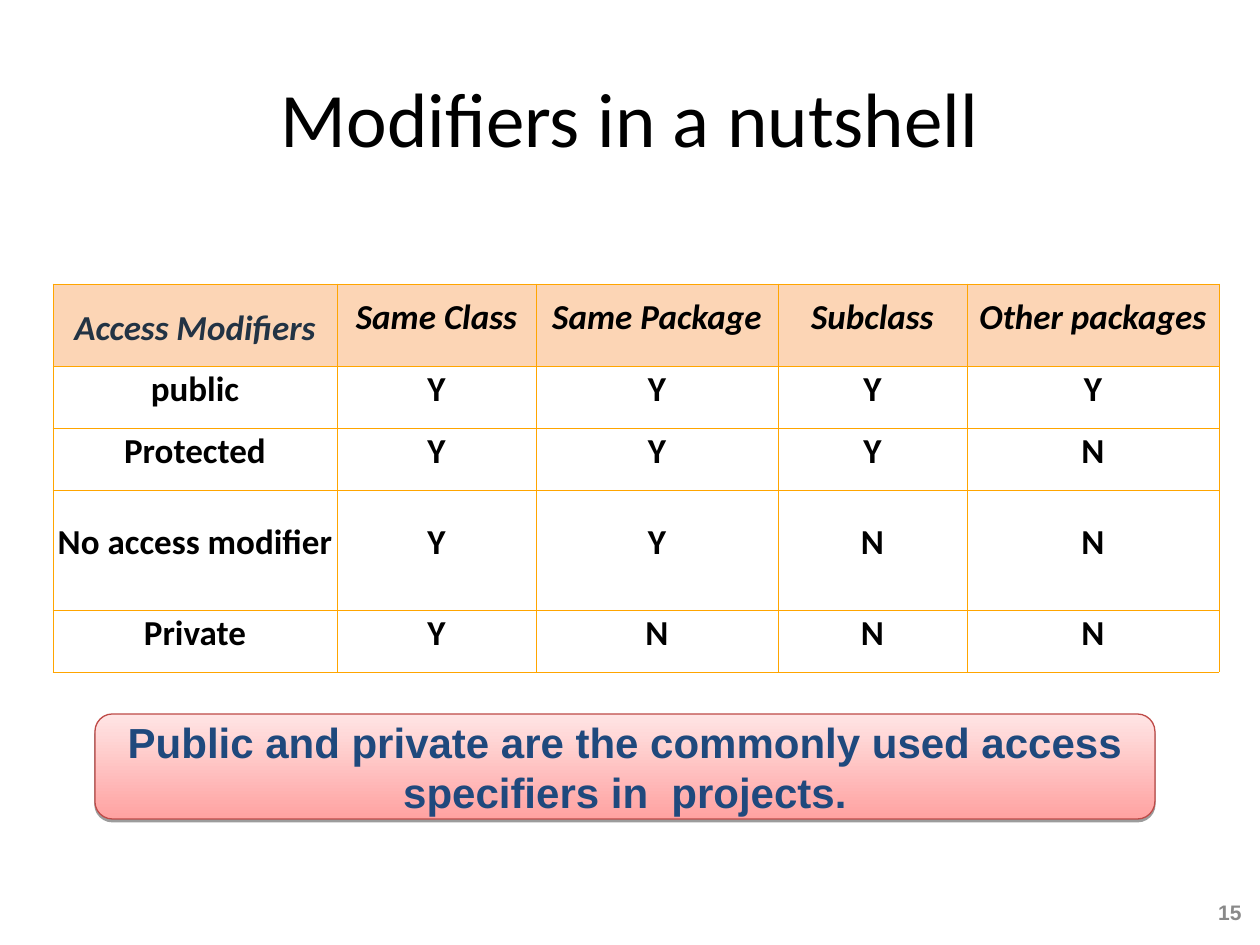
from lxml import etree
from pptx import Presentation
from pptx import util as u
from pptx.dml.color import RGBColor
from pptx.enum import shapes, text
from pptx.oxml import parse_xml
from pptx.oxml.ns import nsdecls

PX = 914400 / 126
COLORS = {
    "black": "000000", "header_text": "223344", "header": "FCD5B5",
    "border": "FFA500", "number": "898989", "note_text": "1F497D",
    "note_line": "BE4B48", "note_bottom": "FFA2A1", "note_top": "FFE5E5",
}
COL_WIDTHS = [284, 199, 242, 189, 252]
ROW_HEIGHTS = [82, 62, 62, 120, 62]
ROWS = [
    ["Access Modifiers", "Same Class", "Same Package", "Subclass", "Other packages"],
    ["public", *"YYYY"],
    ["Protected", *"YYYN"],
    ["No access modifier", *"YYNN"],
    ["Private", *"YNNN"],
]


def px(n):
    """Turn px into EMU."""
    return u.Emu(round(n * PX))


def rgb(name):
    """Look up a named colour."""
    return RGBColor.from_string(COLORS[name])


def write(tf, words, size, color, font="Calibri", align="CENTER", bold=True, italic=False):
    """Write one formatted paragraph and return it."""
    tf.word_wrap = True
    tf.vertical_anchor = text.MSO_ANCHOR.MIDDLE
    p = tf.paragraphs[0]
    p.text = words
    p.alignment = text.PP_ALIGN[align]
    p.font.size, p.font.name = u.Pt(size), font
    p.font.bold, p.font.italic = bold, italic
    p.font.color.rgb = rgb(color)
    return p


def add_title(s, x, y, w, h):
    """Place the slide title."""
    sp = s.shapes.title
    sp.left, sp.top, sp.width, sp.height = map(px, (x, y, w, h))
    write(sp.text_frame, "Modifiers in a nutshell", 44, "black", bold=False)


def set_borders(cell):
    """Draw thin lines on all sides of a cell."""
    tc_pr = cell._tc.get_or_add_tcPr()
    for i, side in enumerate("LRTB"):
        tc_pr.insert(i, parse_xml(
            f'<a:ln{side} {nsdecls("a")} w="5715"><a:solidFill>'
            f'<a:srgbClr val="{COLORS["border"]}"/></a:solidFill></a:ln{side}>'))


def format_cell(cell, words, is_header, is_corner):
    """Fill one cell with its text, colour and borders."""
    cell.margin_left = cell.margin_right = px(1)
    cell.margin_top = cell.margin_bottom = px(6)
    p = write(cell.text_frame, words, 20, "header_text" if is_corner else "black",
              italic=is_header)
    cell.vertical_anchor = text.MSO_ANCHOR.MIDDLE
    p.line_spacing = 1.15 if is_corner else u.Pt(15.7)
    if is_corner:
        p.space_after = u.Pt(10)
    if is_header:
        cell.fill.solid()
        cell.fill.fore_color.rgb = rgb("header")
    else:
        cell.fill.background()
    set_borders(cell)


def add_access_table(s, x, y):
    """Place the table of access modifiers."""
    box = map(px, (x, y, sum(COL_WIDTHS), sum(ROW_HEIGHTS)))
    table = s.shapes.add_table(len(ROWS), len(COL_WIDTHS), *box).table
    table.first_row = table.horz_banding = False
    for col, width in zip(table.columns, COL_WIDTHS):
        col.width = px(width)
    for r, (row, height) in enumerate(zip(ROWS, ROW_HEIGHTS)):
        table.rows[r].height = px(height)
        for c, words in enumerate(row):
            format_cell(table.cell(r, c), words, r == 0, r == c == 0)


def add_note(s, x, y, w, h):
    """Place the rounded note with its gradient and shadow."""
    sp = s.shapes.add_shape(shapes.MSO_SHAPE.ROUNDED_RECTANGLE, *map(px, (x, y, w, h)))
    sp.fill.gradient()
    sp.fill.gradient_angle = 90
    for stop, name in zip(sp.fill.gradient_stops, ("note_bottom", "note_top")):
        stop.color.rgb = rgb(name)
    sp.line.color.rgb = rgb("note_line")
    sp.line.width = u.Pt(0.75)
    sp.shadow.inherit = False
    effects = sp._element.spPr.find("{*}effectLst")
    effects.append(etree.fromstring(
        f'<a:outerShdw {nsdecls("a")} blurRad="0" dist="20320" dir="5400000" rotWithShape="0">'
        f'<a:srgbClr val="{COLORS["black"]}"><a:alpha val="38000"/></a:srgbClr></a:outerShdw>'))
    write(sp.text_frame, "Public and private are the commonly used access specifiers in  projects.",
          24, "note_text", font="Arial")


def add_slide_number(s, x, y, w, h):
    """Place the slide number."""
    sp = s.shapes.add_textbox(*map(px, (x, y, w, h)))
    write(sp.text_frame, "15", 12, "number", font="Arial", align="RIGHT")


def main():
    """Build and save the slide."""
    prs = Presentation()
    prs.slide_width, prs.slide_height = px(1260), px(945)
    s = prs.slides.add_slide(prs.slide_layouts[5])
    add_title(s, 63, 38, 1134, 158)
    add_slide_number(s, 1192, 890, 62, 44)
    add_access_table(s, 53, 284)
    add_note(s, 95, 714, 1060, 105)
    prs.save("out.pptx")


if __name__ == "__main__":
    main()
